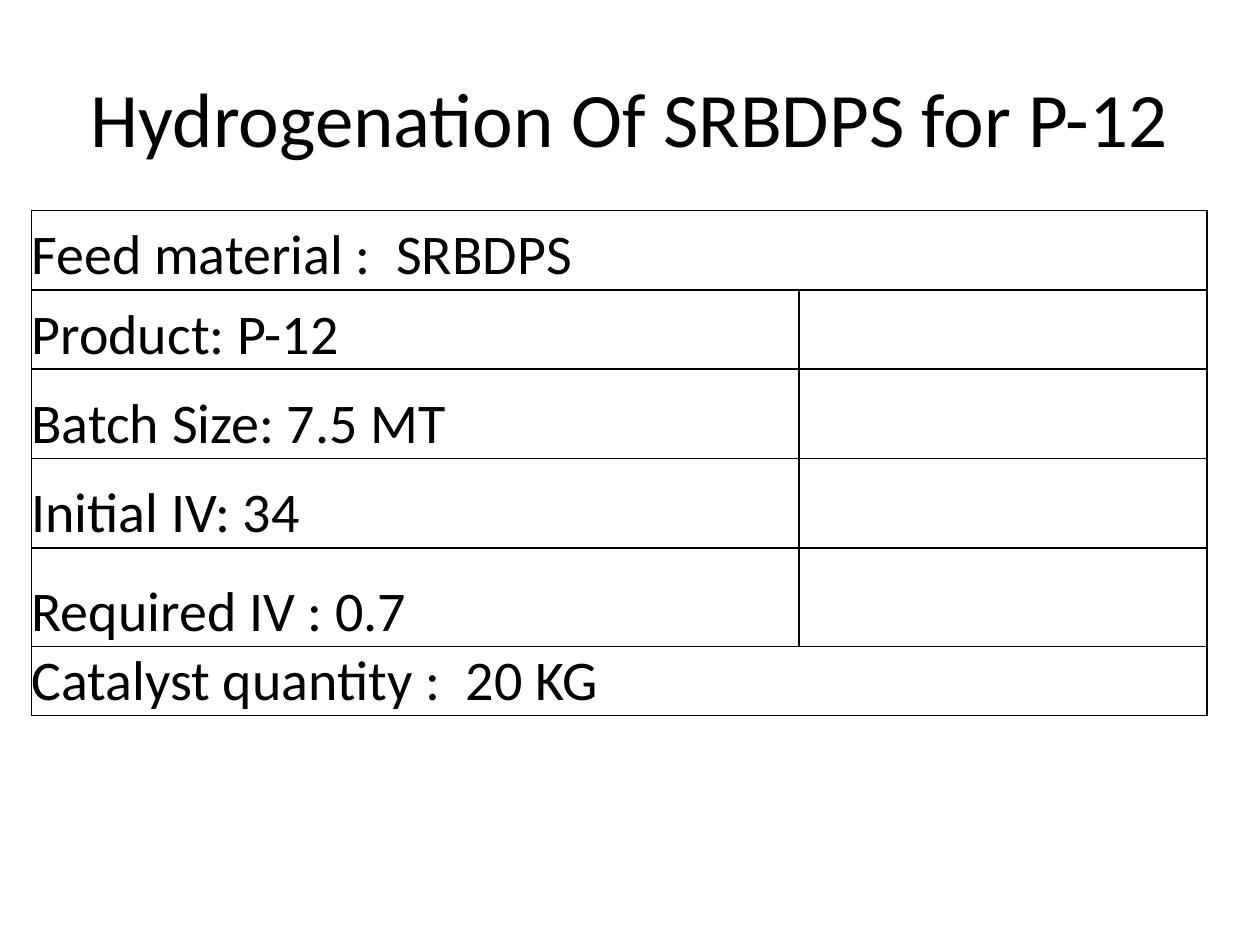
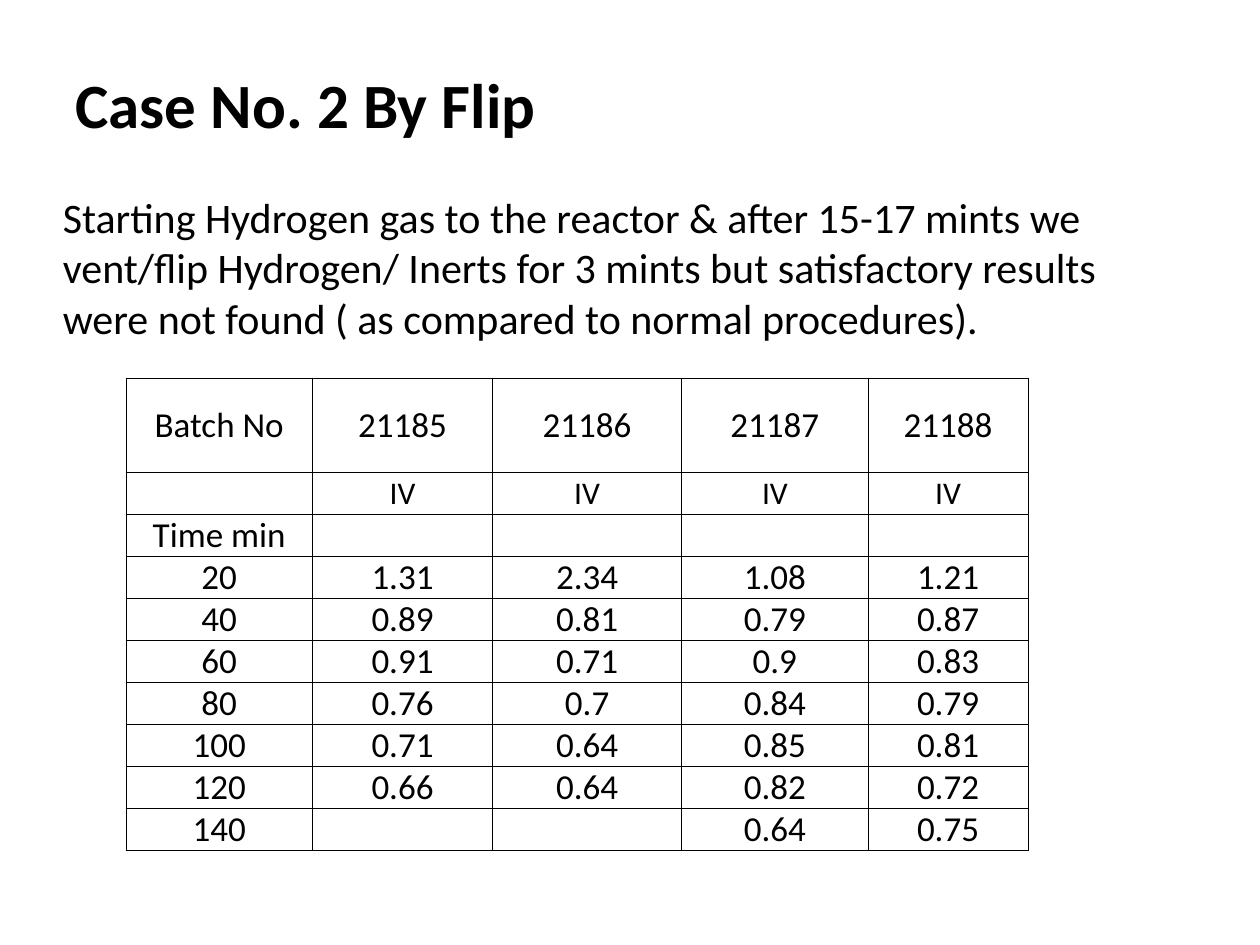
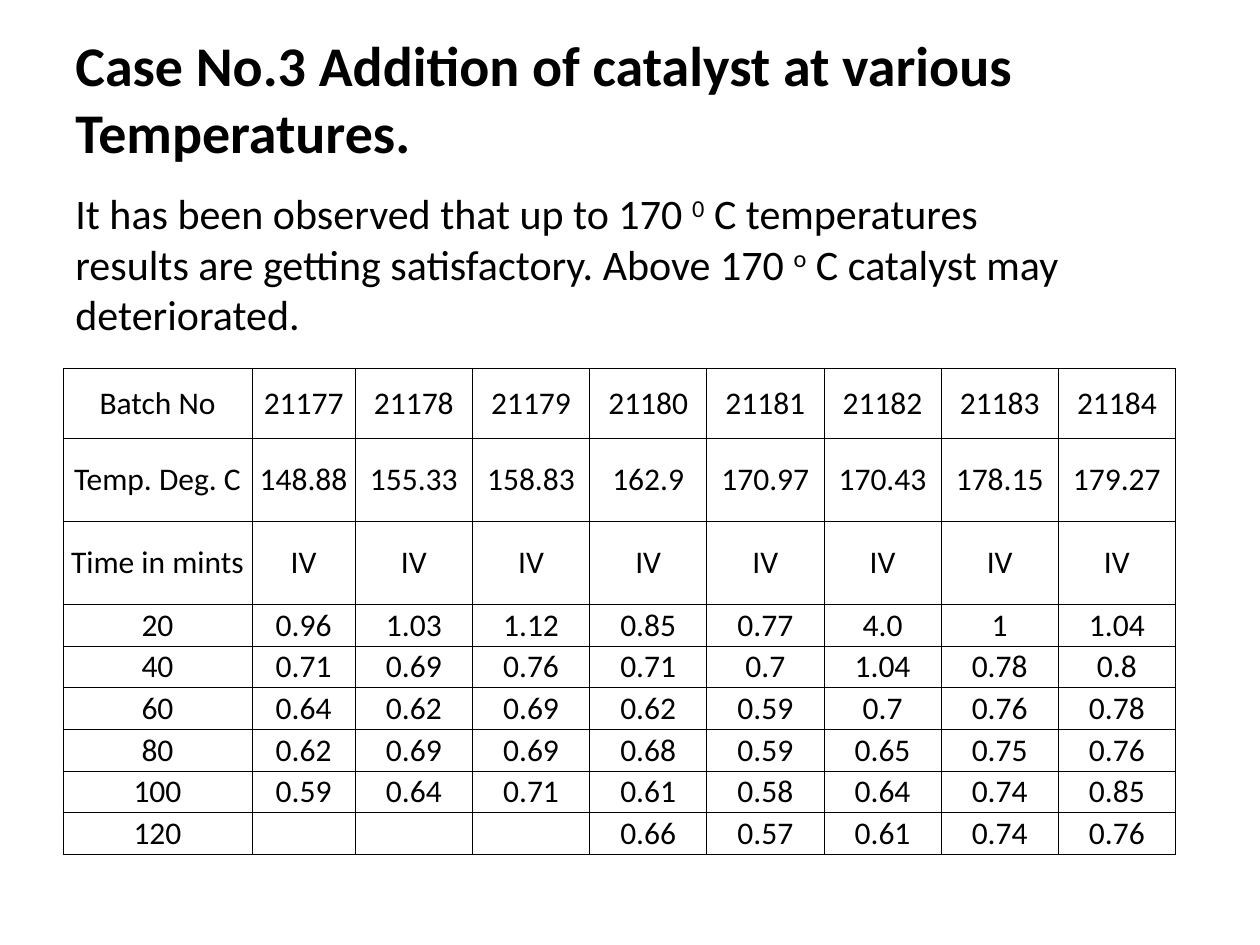
import lxml.etree
import pptx
import pptx.dml.color
import pptx.enum.text
import pptx.oxml.ns
import pptx.util

Inches = pptx.util.Inches
Align = pptx.enum.text.PP_ALIGN
Anchor = pptx.enum.text.MSO_ANCHOR


def color(code):
    return pptx.dml.color.RGBColor.from_string(code)


class Deck:
    face = "Calibri"
    ink = "000000"

    def __init__(self):
        self.prs = pptx.Presentation()
        self.prs.slide_width = Inches(10)
        self.prs.slide_height = Inches(7.5)

    def page(self):
        self.slide = self.prs.slides.add_slide(self.prs.slide_layouts[6])

    def words(self, para, text, size, bold=False, base=0):
        """Add one run; base is its raise in percent."""
        run = para.add_run()
        run.text = text
        run.font.name = self.face
        run.font.size = pptx.util.Pt(size)
        run.font.bold = bold
        run.font.color.rgb = color(self.ink)
        if base:
            run._r.get_or_add_rPr().set("baseline", str(base * 1000))

    def box(self, spot):
        frame = self.slide.shapes.add_textbox(*map(Inches, spot)).text_frame
        frame.word_wrap = True
        return frame

    def title(self, spot, text, size, bold=True, align=Align.LEFT):
        frame = self.box(spot)
        frame.vertical_anchor = Anchor.MIDDLE
        para = frame.paragraphs[0]
        para.alignment = align
        self.words(para, text, size, bold)

    def body(self, spot, parts):
        """Fill a growing box with (text, raise) parts."""
        frame = self.box(spot)
        frame.auto_size = pptx.enum.text.MSO_AUTO_SIZE.SHAPE_TO_FIT_TEXT
        for text, base in parts:
            self.words(frame.paragraphs[0], text, 24, base=base)

    def edge(self, cell, width):
        """Draw the four borders of a cell."""
        props = cell._tc.get_or_add_tcPr()
        qn = pptx.oxml.ns.qn
        for spot, side in enumerate(("a:lnL", "a:lnR", "a:lnT", "a:lnB")):
            line = lxml.etree.Element(qn(side), w=str(pptx.util.Pt(width)))
            fill = lxml.etree.SubElement(line, qn("a:solidFill"))
            lxml.etree.SubElement(fill, qn("a:srgbClr"), val=self.ink)
            props.insert(spot, line)

    def table(self, left, top, wide, high, rows, size, width=0.5,
              align=Align.CENTER, anchor=Anchor.MIDDLE, small=()):
        """Draw rows of text; the words in small are set at 18 points."""
        grid = self.slide.shapes.add_table(
            len(high), len(wide), Inches(left), Inches(top),
            Inches(sum(wide)), Inches(sum(high))).table
        grid.first_row = grid.horz_banding = False
        for col, span in zip(grid.columns, wide):
            col.width = Inches(span)
        for row, span in zip(grid.rows, high):
            row.height = Inches(span)
        for r, row in enumerate(rows):
            for c, text in enumerate(row):
                cell = grid.cell(r, c)
                cell.margin_left = cell.margin_right = 0
                cell.margin_top = cell.margin_bottom = 0
                cell.vertical_anchor = anchor
                cell.fill.background()
                self.edge(cell, width)
                para = cell.text_frame.paragraphs[0]
                para.alignment = align
                if text:
                    self.words(para, text, 18 if text in small else size)
        return grid


FEED = ["Feed material :  SRBDPS", "Product: P-12", "Batch Size: 7.5 MT",
        "Initial IV: 34", "Required IV : 0.7", "Catalyst quantity :  20 KG"]

FLIP = [
    ["Batch No", "21185", "21186", "21187", "21188"],
    [""] + ["IV"] * 4,
    ["Time min"] + [""] * 4,
    ["20", "1.31", "2.34", "1.08", "1.21"],
    ["40", "0.89", "0.81", "0.79", "0.87"],
    ["60", "0.91", "0.71", "0.9", "0.83"],
    ["80", "0.76", "0.7", "0.84", "0.79"],
    ["100", "0.71", "0.64", "0.85", "0.81"],
    ["120", "0.66", "0.64", "0.82", "0.72"],
    ["140", "", "", "0.64", "0.75"],
]

HEAT = [
    ["Batch No"] + [str(n) for n in range(21177, 21185)],
    ["Temp. Deg. C", "148.88", "155.33", "158.83", "162.9",
     "170.97", "170.43", "178.15", "179.27"],
    ["Time in mints"] + ["IV"] * 8,
    ["20", "0.96", "1.03", "1.12", "0.85", "0.77", "4.0", "1", "1.04"],
    ["40", "0.71", "0.69", "0.76", "0.71", "0.7", "1.04", "0.78", "0.8"],
    ["60", "0.64", "0.62", "0.69", "0.62", "0.59", "0.7", "0.76", "0.78"],
    ["80", "0.62", "0.69", "0.69", "0.68", "0.59", "0.65", "0.75", "0.76"],
    ["100", "0.59", "0.64", "0.71", "0.61", "0.58", "0.64", "0.74", "0.85"],
    ["120", "", "", "", "0.66", "0.57", "0.61", "0.74", "0.76"],
]


def feed(deck):
    deck.page()
    deck.title((0.5, 0.3, 9, 1.25), "Hydrogenation Of SRBDPS for P-12", 44,
               bold=False, align=Align.CENTER)
    grid = deck.table(0.25, 1.67, [6.09, 3.24],
                      [0.63, 0.63, 0.71, 0.71, 0.78, 0.55],
                      [[text, ""] for text in FEED], 32, width=1,
                      align=Align.LEFT, anchor=Anchor.BOTTOM)
    for r in (0, len(FEED) - 1):
        grid.cell(r, 0).merge(grid.cell(r, 1))


def flip(deck):
    deck.page()
    deck.title((0.5, 0.17, 8.58, 1.3), "Case No. 2 By Flip", 36)
    deck.body((0.4, 1.47, 8.92, 1.31), [
        ("Starting Hydrogen gas to the reactor & after 15-17 mints we "
         "vent/flip Hydrogen/ Inerts for 3 mints but satisfactory results "
         "were not found ( as compared to normal procedures).", 0)])
    deck.table(1, 3, [1.48, 1.43, 1.5, 1.48, 1.27], [0.75] + [0.33] * 9,
               FLIP, 20, small=("IV",))


def heat(deck):
    deck.page()
    deck.title((0.5, 0.3, 8.58, 0.95),
               "Case No.3 Addition of catalyst at various Temperatures.", 32)
    deck.body((0.5, 1.44, 8.25, 1.31), [
        ("It has been observed that up to 170 ", 0), ("0", 30),
        (" C temperatures results are getting satisfactory. Above 170 ", 0),
        ("o", 30), (" C catalyst may deteriorated.", 0)])
    deck.table(0.5, 2.92, [1.5, 0.82] + [0.93] * 7,
               [0.56, 0.66, 0.66] + [0.33] * 6, HEAT, 18)


def main():
    deck = Deck()
    for draw in (feed, flip, heat):
        draw(deck)
    deck.prs.save("out.pptx")


if __name__ == "__main__":
    main()
